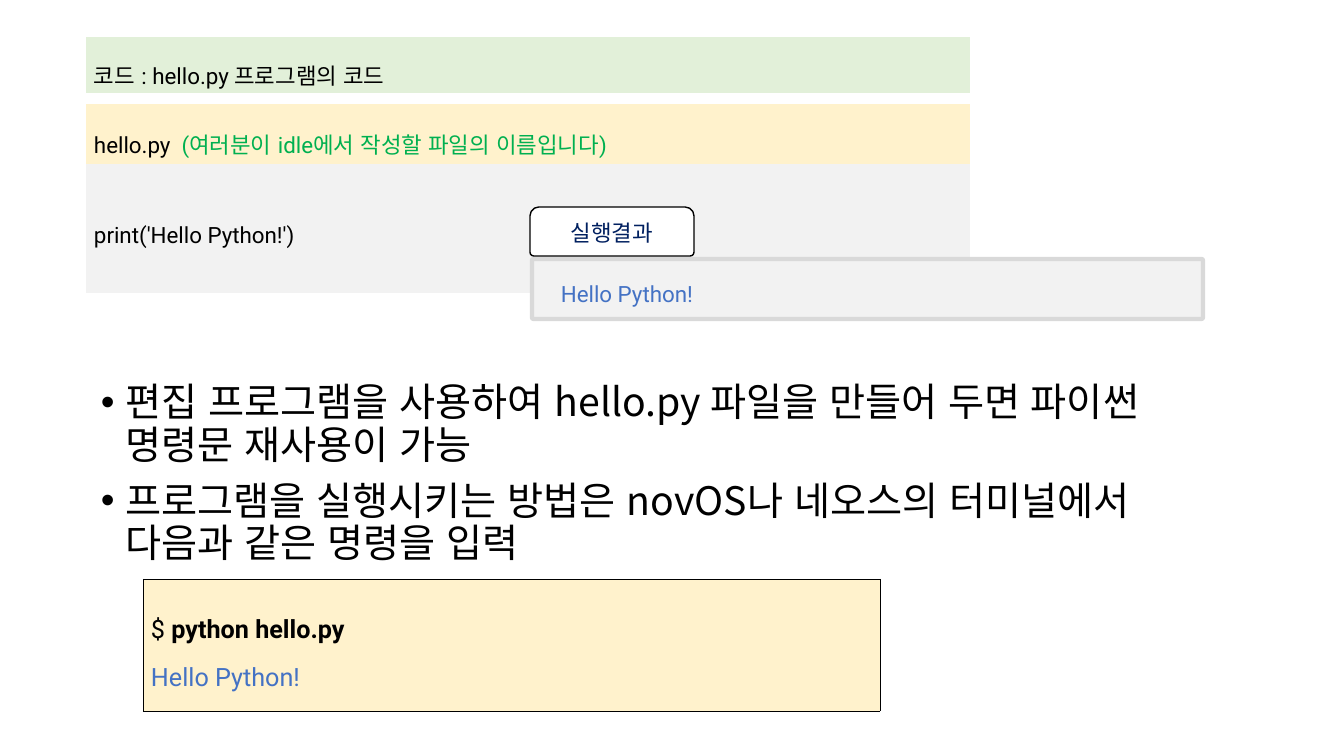
from lxml import etree
from pptx import Presentation, util as u
from pptx.dml.color import RGBColor
from pptx.enum import shapes, text
from pptx.oxml import ns

PX = 914400 / 100.8
LATIN, KOREAN = "Roboto", "Noto Sans CJK KR"
COLORS = {
    "black": "000000", "white": "FFFFFF", "green": "00B050", "blue": "4472C4",
    "navy": "002060", "mint": "E2F0D9", "cream": "FFF2CC", "pale": "F2F2F2",
    "edge": "D9D9D9",
}
LEFT, CENTER, JUSTIFY = (text.PP_ALIGN.LEFT, text.PP_ALIGN.CENTER,
                         text.PP_ALIGN.JUSTIFY)


def px(length):
    return u.Emu(round(length * PX))


def place(box):
    return [px(length) for length in box]


def rgb(name):
    return RGBColor.from_string(COLORS[name])


def child(parent, tag, **attributes):
    return etree.SubElement(parent, ns.qn(tag), attributes)


def add_span(para, words, size, color="black", font=LATIN, bold=False):
    span = para.add_run()
    span.text = words
    span.font.size, span.font.name, span.font.bold = u.Pt(size), font, bold
    span.font.color.rgb = rgb(color)
    properties = span._r.get_or_add_rPr()
    properties.set("lang", "ko-KR")
    child(properties, "a:ea", typeface=KOREAN)


def add_paragraphs(frame, lines, size, align=LEFT, spacing=1.6, font=LATIN):
    """Each line is a list of (words, color, bold) spans."""
    for index, spans in enumerate(lines):
        para = frame.add_paragraph() if index else frame.paragraphs[0]
        para.alignment, para.line_spacing = align, spacing
        for words, color, bold in spans:
            add_span(para, words, size, color, font, bold)


def style_borders(cell, color=None):
    properties = cell._tc.get_or_add_tcPr()
    for index, side in enumerate(("a:lnL", "a:lnR", "a:lnT", "a:lnB")):
        line = child(properties, side, w=str(u.Pt(0.28)))
        properties.insert(index, line)
        if color:
            child(child(line, "a:solidFill"), "a:srgbClr", val=COLORS[color])
        else:
            child(line, "a:noFill")


def add_code_table(page, box, rows, size, border=None):
    """Each row is (height, fill, align, lines); no lines makes a gap."""
    table = page.shapes.add_table(len(rows), 1, *place(box)).table
    table.first_row = table.horz_banding = False
    for index, (height, fill, align, lines) in enumerate(rows):
        table.rows[index].height = px(height)
        cell = table.cell(index, 0)
        cell.vertical_anchor = text.MSO_ANCHOR.MIDDLE
        cell.margin_left = cell.margin_right = px(8)
        cell.margin_top = cell.margin_bottom = px(2)
        if lines:
            cell.fill.solid()
            cell.fill.fore_color.rgb = rgb(fill)
            add_paragraphs(cell.text_frame, lines, size, align)
        else:
            cell.fill.background()
            cell.margin_top = cell.margin_bottom = 0
            child(cell.text_frame.paragraphs[0]._p, "a:endParaRPr", sz="100")
        style_borders(cell, border)


def add_panel(group, kind, box, corners, fill, edge, width):
    panel = group.shapes.add_shape(kind, *place(box))
    for index, corner in enumerate(corners):
        panel.adjustments[index] = corner
    panel.shadow.inherit = False
    panel.fill.solid()
    panel.fill.fore_color.rgb = rgb(fill)
    panel.line.color.rgb = rgb(edge)
    panel.line.width = u.Pt(width)
    return panel


def add_explanation(page, box, points):
    frame = page.shapes.add_textbox(*place(box)).text_frame
    frame.word_wrap = True
    add_paragraphs(frame, [[(point, "black", False)] for point in points],
                   28, spacing=0.9, font=KOREAN)
    for para in frame.paragraphs:
        para.space_before = u.Pt(10)
        properties = para._p.get_or_add_pPr()
        properties.set("marL", str(px(25)))
        properties.set("indent", str(px(-25)))
        child(properties, "a:buFont", typeface="Arial")
        child(properties, "a:buChar", char="•")


def add_code_listing(page, box):
    add_code_table(page, box, [
        (56, "mint", LEFT,
         [[("코드 : hello.py 프로그램의 코드", "black", False)]]),
        (11, None, LEFT, []),
        (60, "cream", JUSTIFY,
         [[("hello.py  ", "black", False),
           ("(여러분이 idle에서 작성할 파일의 이름입니다)", "green", False)]]),
        (129, "pale", JUSTIFY, [[("print('Hello Python!')", "black", False)]]),
    ], 16)


def add_terminal(page, box):
    add_code_table(page, box, [
        (box[3], "cream", JUSTIFY,
         [[("$ ", "black", False), ("python hello.py", "black", True)],
          [("Hello Python!", "blue", False)]]),
    ], 18, "black")


def add_result(page, box):
    left, top, width, height = box
    group = page.shapes.add_group_shape()
    # Output panel below the tab
    add_panel(group, shapes.MSO_SHAPE.ROUNDED_RECTANGLE,
              (left + 2, top + 52, width - 2, height - 52),
              [0.023], "pale", "edge", 3)
    # Title tab
    tab = add_panel(group, shapes.MSO_SHAPE.ROUND_2_SAME_RECTANGLE,
                    (left, top, 164, 49), [0.18, 0.08], "white", "black", 1)
    tab.text_frame.vertical_anchor = text.MSO_ANCHOR.MIDDLE
    add_paragraphs(tab.text_frame, [[("실행결과", "navy", False)]],
                   16, CENTER, 1.0, KOREAN)
    # Output text
    output = group.shapes.add_textbox(*place((left + 21, top + 52, 611, 48)))
    output.text_frame.word_wrap = True
    add_paragraphs(output.text_frame, [[("Hello Python!", "blue", False)]],
                   16, JUSTIFY)


deck = Presentation()
deck.slide_width, deck.slide_height = px(1344), px(756)
page = deck.slides.add_slide(deck.slide_layouts[6])

add_explanation(page, (91, 378, 1159, 324), [
    "편집 프로그램을 사용하여 hello.py 파일을 만들어 두면 파이썬 명령문 재사용이 가능",
    "프로그램을 실행시키는 방법은 novOS나 네오스의 터미널에서 다음과 같은 명령을 입력",
])
add_terminal(page, (143, 579, 737, 132))
add_code_listing(page, (86, 37, 884, 256))
add_result(page, (530, 207, 673, 112))

deck.save("out.pptx")
